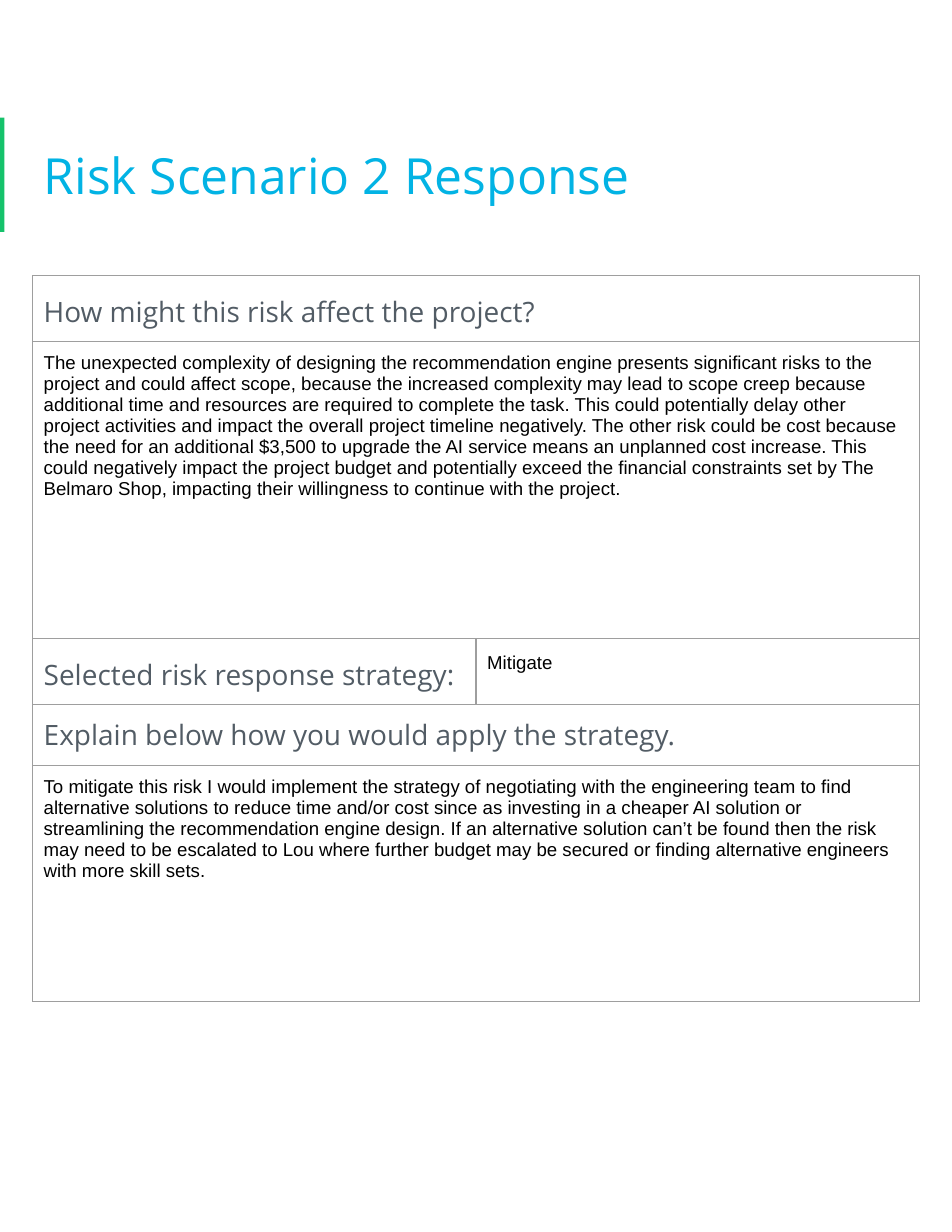
from lxml.etree import SubElement
from pptx import Presentation
from pptx.dml.color import RGBColor
from pptx.enum.shapes import MSO_SHAPE as Shape
from pptx.enum.text import MSO_ANCHOR as Anchor, MSO_AUTO_SIZE as AutoSize, PP_ALIGN as Align
from pptx.oxml.ns import qn
from pptx.util import Pt

GREEN, BLUE, SLATE, BLACK, GRAY = "15C26B", "02B3E4", "525C65", "000000", "9E9E9E"
LEFT, WIDTH, INSET = 20.88, 570.24, 7.2
ROW_HEIGHTS = [42.4, 190.8, 42.4, 38.6, 151.92]
HEADING = {"size": 18, "font": "Open Sans", "color": SLATE}
ANSWER = {"size": 12, "font": "Arial", "color": BLACK}

EFFECT = (
    "The unexpected complexity of designing the recommendation engine presents significant "
    "risks to the project and could affect scope, because the increased complexity may lead to "
    "scope creep because additional time and resources are required to complete the task. This "
    "could potentially delay other project activities and impact the overall project timeline "
    "negatively. The other risk could be cost because the need for an additional $3,500 to "
    "upgrade the AI service means an unplanned cost increase. This could negatively impact the "
    "project budget and potentially exceed the financial constraints set by The Belmaro Shop, "
    "impacting their willingness to continue with the project."
)
EXPLANATION = (
    "To mitigate this risk I would implement the strategy of negotiating with the engineering "
    "team to find alternative solutions to reduce time and/or cost since as investing in a "
    "cheaper AI solution or streamlining the recommendation engine design. If an alternative "
    "solution can’t be found then the risk may need to be escalated to Lou where further budget "
    "may be secured or finding alternative engineers with more skill sets."
)


def rgb(value):
    return RGBColor.from_string(value)


def write_text(frame, text, size, font, color, spacing=1.0):
    paragraph = frame.paragraphs[0]
    paragraph.alignment = Align.LEFT
    paragraph.line_spacing = spacing
    run = paragraph.add_run()
    run.text = text
    run.font.size = Pt(size)
    run.font.name = font
    run.font.color.rgb = rgb(color)


def set_margins(target):
    target.margin_left = target.margin_right = Pt(INSET)
    target.margin_top = target.margin_bottom = Pt(INSET)


def add_accent_bar(slide):
    bar = slide.shapes.add_shape(Shape.RECTANGLE, 0, Pt(75.6), Pt(2.88), Pt(73.44))
    bar.shadow.inherit = False
    bar.fill.solid()
    bar.fill.fore_color.rgb = rgb(GREEN)
    bar.line.fill.background()


def fill_title(slide, text):
    title = slide.shapes.title
    title.left, title.top, title.width, title.height = Pt(LEFT), Pt(68.4), Pt(WIDTH), Pt(87.84)
    frame = title.text_frame
    set_margins(frame)
    frame.word_wrap = True
    frame.auto_size = AutoSize.NONE
    frame.vertical_anchor = Anchor.MIDDLE
    write_text(frame, text, size=32, font="Open Sans", color=BLUE)


def set_borders(cell, color, width):
    """Draw all four sides; call before the fill, which must follow the lines in the XML."""
    properties = cell._tc.get_or_add_tcPr()
    for side in ("lnL", "lnR", "lnT", "lnB"):
        line = SubElement(properties, qn(f"a:{side}"), w=str(Pt(width)))
        SubElement(SubElement(line, qn("a:solidFill")), qn("a:srgbClr"), val=color)


def add_response_table(slide):
    frame = slide.shapes.add_table(
        len(ROW_HEIGHTS), 2, Pt(LEFT), Pt(177.12), Pt(WIDTH), Pt(sum(ROW_HEIGHTS)))
    table = frame.table
    table.first_row = table.horz_banding = False
    for row, height in zip(table.rows, ROW_HEIGHTS):
        row.height = Pt(height)
    for cell in table.iter_cells():
        set_margins(cell)
        set_borders(cell, GRAY, 0.75)
        cell.fill.background()
    for row in (0, 1, 3, 4):
        table.cell(row, 0).merge(table.cell(row, 1))

    contents = [
        (0, 0, "How might this risk affect the project?", HEADING, 1.15),
        (1, 0, EFFECT, ANSWER, 1.0),
        (2, 0, "Selected risk response strategy:", HEADING, 1.15),
        (2, 1, "Mitigate", ANSWER, 1.15),
        (3, 0, "Explain below how you would apply the strategy.", HEADING, 1.0),
        (4, 0, EXPLANATION, ANSWER, 1.0),
    ]
    for row, column, text, style, spacing in contents:
        write_text(table.cell(row, column).text_frame, text, spacing=spacing, **style)
    table.cell(2, 0).vertical_anchor = Anchor.MIDDLE


def main():
    presentation = Presentation()
    presentation.slide_width, presentation.slide_height = Pt(612), Pt(792)
    slide = presentation.slides.add_slide(presentation.slide_layouts[5])
    add_accent_bar(slide)
    fill_title(slide, "Risk Scenario 2 Response")
    add_response_table(slide)
    presentation.save("out.pptx")


if __name__ == "__main__":
    main()
